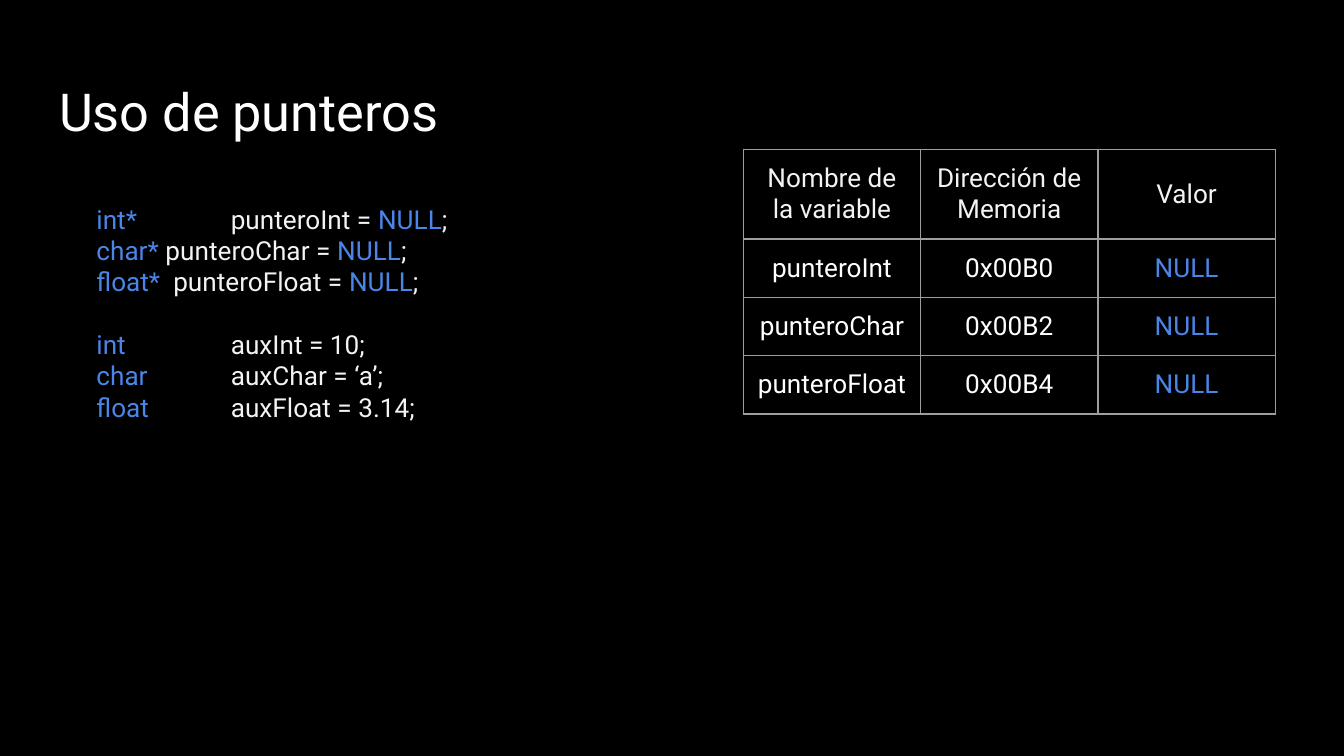
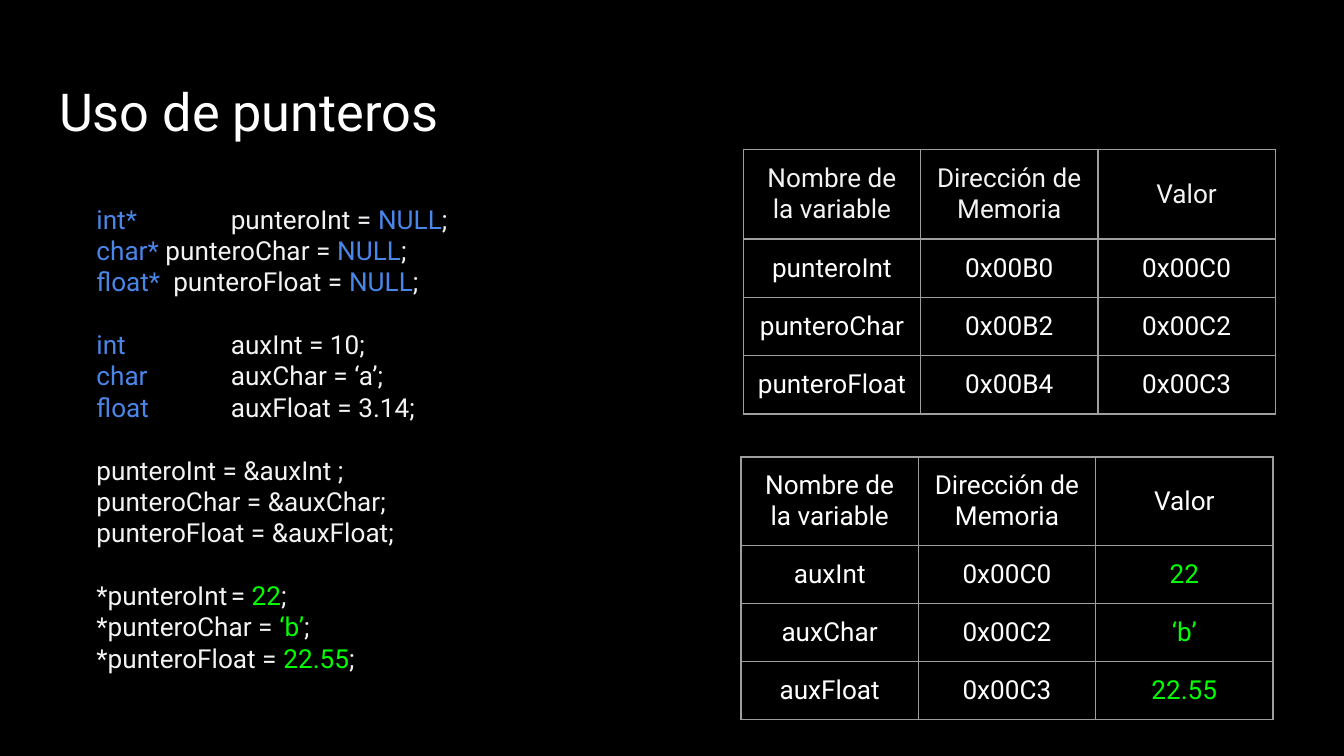
from lxml.etree import SubElement
from pptx import Presentation
from pptx.dml.color import RGBColor
from pptx.enum.text import MSO_ANCHOR, MSO_AUTO_SIZE, PP_ALIGN
from pptx.oxml.ns import qn
from pptx.util import Pt

COLORS = {
    "background": "000000",
    "title": "FFFFFF",
    "cell": "FFFFFF",
    "code": "F3F3F3",
    "keyword": "4A86E8",
    "changed": "00FF00",
    "border": "9E9E9E",
}
FONT = "Roboto"
TEXT_SIZE = 14
LINE_PITCH = 16.8
INSET = 7.2
VALUE_TAB = 72
COLUMN_WIDTH = 95
ROW_HEIGHT = 30.5
HEADER = ["Nombre de la variable", "Dirección de Memoria", "Valor"]


# Code: groups of lines, each line a list of (text, colour) runs
def null_pointer(kind, rest):
    return [(kind, "keyword"), (rest, "code"), ("NULL", "keyword"), (";", "code")]


def variable(kind, rest):
    return [(kind, "keyword"), (f"\t{rest};", "code")]


def assignment(target, value):
    return [(target, "code"), (value, "changed"), (";", "code")]


DECLARATIONS = [
    [
        null_pointer("int*", "\tpunteroInt = "),
        null_pointer("char*", " punteroChar = "),
        null_pointer("float*", "\tpunteroFloat = "),
    ],
    [
        variable("int", "auxInt = 10"),
        variable("char", "auxChar = ‘a’"),
        variable("float", "auxFloat = 3.14"),
    ],
]
ASSIGNMENTS = [
    [
        [("punteroInt = &auxInt ;", "code")],
        [("punteroChar = &auxChar;", "code")],
        [("punteroFloat = &auxFloat;", "code")],
    ],
    [
        assignment("*punteroInt\t= ", "22"),
        assignment("*punteroChar = ", "‘b’"),
        assignment("*punteroFloat = ", "22.55"),
    ],
]
# The float pointer is aligned closer to its type
TAB_STOPS = {"float*": 41.2}

POINTERS = [("punteroInt", "0x00B0"), ("punteroChar", "0x00B2"), ("punteroFloat", "0x00B4")]
VARIABLES = [("auxInt", "0x00C0"), ("auxChar", "0x00C2"), ("auxFloat", "0x00C3")]


# Shared text formatting
def add_run(paragraph, text, color, size=TEXT_SIZE):
    run = paragraph.add_run()
    run.text = text
    run.font.name = FONT
    run.font.size = Pt(size)
    run.font.color.rgb = RGBColor.from_string(COLORS[color])


def set_insets(target):
    target.margin_left = target.margin_right = Pt(INSET)
    target.margin_top = target.margin_bottom = Pt(INSET)


def set_tab(paragraph, position):
    stops = SubElement(paragraph._p.get_or_add_pPr(), qn("a:tabLst"))
    SubElement(stops, qn("a:tab"), pos=str(Pt(position)), algn="l")


def add_titled_slide(prs, title):
    slide = prs.slides.add_slide(prs.slide_layouts[5])
    slide.background.fill.solid()
    slide.background.fill.fore_color.rgb = RGBColor.from_string(COLORS["background"])
    heading = slide.shapes.title
    heading.left, heading.top = Pt(24.5), Pt(35.3)
    heading.width, heading.height = Pt(671), Pt(45.4)
    frame = heading.text_frame
    frame.auto_size = MSO_AUTO_SIZE.NONE
    frame.vertical_anchor = MSO_ANCHOR.TOP
    set_insets(frame)
    frame.paragraphs[0].alignment = PP_ALIGN.LEFT
    add_run(frame.paragraphs[0], title, "title", 28)
    return slide


def add_code(slide, groups, height):
    listing = slide.shapes.add_textbox(Pt(44.6), Pt(101.5), Pt(228.2), Pt(height))
    frame = listing.text_frame
    frame.word_wrap = True
    set_insets(frame)
    paragraph = frame.paragraphs[0]
    for group_index, group in enumerate(groups):
        for line_index, line in enumerate(group):
            if group_index or line_index:
                paragraph = frame.add_paragraph()
            # A whole line of space separates the groups
            if group_index and line_index == 0:
                paragraph.space_before = Pt(LINE_PITCH)
            set_tab(paragraph, TAB_STOPS.get(line[0][0], VALUE_TAB))
            for text, color in line:
                add_run(paragraph, text, color)


# Memory tables
def set_borders(cell):
    properties = cell._tc.get_or_add_tcPr()
    for index, side in enumerate(("lnL", "lnR", "lnT", "lnB")):
        border = SubElement(properties, qn(f"a:{side}"), w=str(Pt(0.75)))
        fill = SubElement(border, qn("a:solidFill"))
        SubElement(fill, qn("a:srgbClr"), val=COLORS["border"])
        properties.remove(border)
        properties.insert(index, border)


def fill_cell(cell, text, color):
    cell.fill.background()
    cell.vertical_anchor = MSO_ANCHOR.MIDDLE
    set_insets(cell)
    set_borders(cell)
    paragraph = cell.text_frame.paragraphs[0]
    paragraph.alignment = PP_ALIGN.CENTER
    add_run(paragraph, text, color)


def add_memory_table(slide, left, top, entries, values, header_color, value_color):
    rows = [HEADER] + [[*entry, value] for entry, value in zip(entries, values)]
    memory = slide.shapes.add_table(
        len(rows), len(HEADER), Pt(left), Pt(top),
        Pt(COLUMN_WIDTH * len(HEADER)), Pt(ROW_HEIGHT * len(rows)),
    ).table
    memory.first_row = memory.horz_banding = False
    for column in memory.columns:
        column.width = Pt(COLUMN_WIDTH)
    for row_index, row in enumerate(rows):
        memory.rows[row_index].height = Pt(ROW_HEIGHT)
        colors = ["cell", "cell", value_color] if row_index else [header_color] * 3
        for column_index, text in enumerate(row):
            fill_cell(memory.cell(row_index, column_index), text, colors[column_index])


def add_pointer_table(slide, values, value_color):
    add_memory_table(slide, 398.2, 80, POINTERS, values, "code", value_color)


def main():
    prs = Presentation()
    prs.slide_width, prs.slide_height = Pt(720), Pt(405)
    title = "Uso de punteros"

    # Pointers declared as NULL
    declared = add_titled_slide(prs, title)
    add_code(declared, DECLARATIONS, 147)
    add_pointer_table(declared, ["NULL"] * 3, "keyword")

    # Pointers assigned and used to change the variables
    assigned = add_titled_slide(prs, title)
    add_memory_table(assigned, 397, 244.8, VARIABLES, ["22", "‘b’", "22.55"],
                     "cell", "changed")
    add_code(assigned, DECLARATIONS + ASSIGNMENTS, 273.6)
    add_pointer_table(assigned, [address for _, address in VARIABLES], "cell")

    prs.save("out.pptx")


if __name__ == "__main__":
    main()
